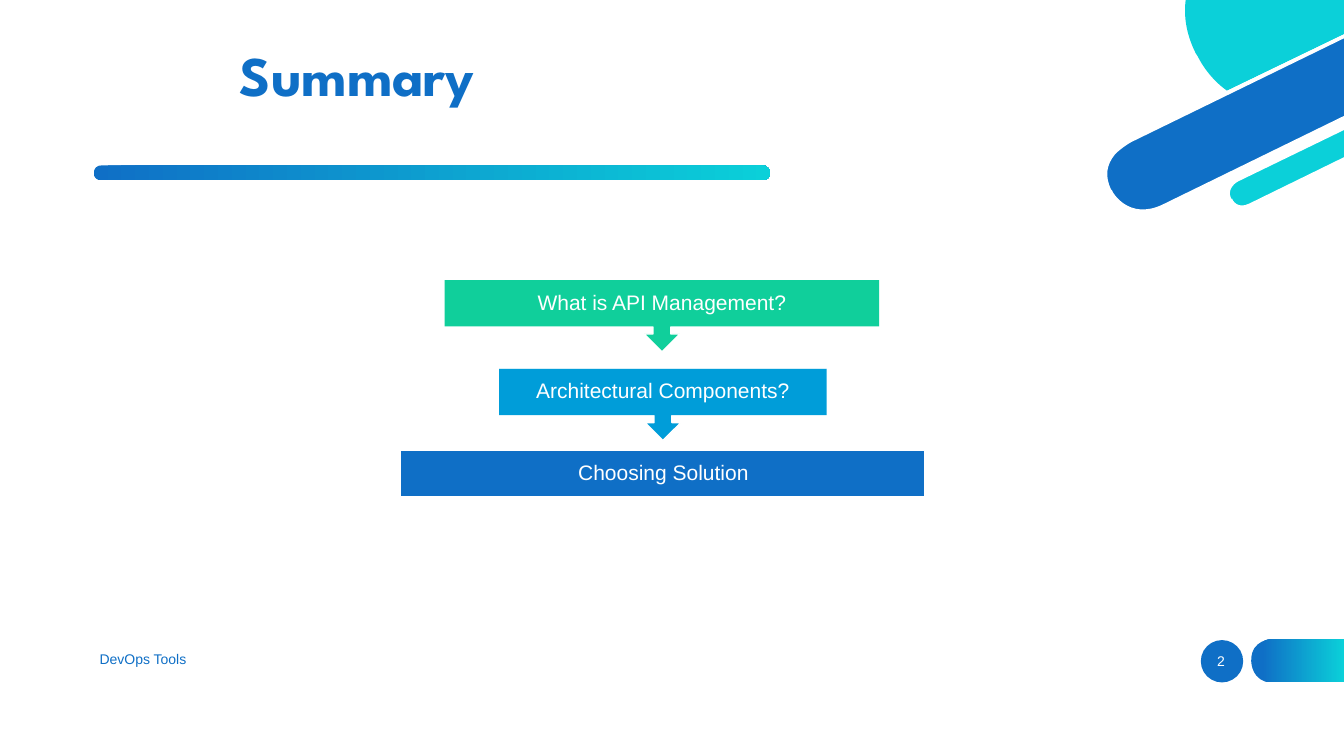
"""Build the Summary slide with its flow of three topics."""
from dataclasses import dataclass
from typing import Optional

from pptx import Presentation
from pptx.dml.color import RGBColor
from pptx.enum.shapes import MSO_SHAPE as SHAPE
from pptx.enum.text import MSO_ANCHOR as ANCHOR, PP_ALIGN as ALIGN
from pptx.oxml.ns import qn
from pptx.oxml.xmlchemy import OxmlElement
from pptx.util import Inches, Pt

BLUE = RGBColor(0x0F, 0x6F, 0xC6)
CYAN = RGBColor(0x0B, 0xD0, 0xD9)
SKY = RGBColor(0x00, 0x9D, 0xD9)
GREEN = RGBColor(0x10, 0xCF, 0x9B)
WHITE = RGBColor(0xFF, 0xFF, 0xFF)


@dataclass(frozen=True)
class Outline:
    """A closed outline; steps of two numbers are lines, of six are curves."""
    start: tuple
    steps: tuple
    color: Optional[RGBColor] = None


@dataclass(frozen=True)
class Topic:
    """A topic box: its frame, its text area and the arrow below it."""
    text: str
    frame: tuple
    label: tuple
    color: RGBColor
    arrow: bool = True


@dataclass(frozen=True)
class Caption:
    """A line of text in a box of its own."""
    text: str
    box: tuple
    size: int
    color: RGBColor
    font: str = "Arial"
    bold: bool = False
    align: ALIGN = ALIGN.LEFT
    inset: float = 0.1


PAGE_TAB = Outline((12.62, 6.77), (
    (13.33, 6.77), (13.33, 6.34), (12.62, 6.34),
    (12.62, 6.34, 12.41, 6.34, 12.41, 6.55), (12.41, 6.56),
    (12.41, 6.56, 12.41, 6.77, 12.62, 6.77)))

TITLE_BAR = Outline((7.56, 1.79), (
    (1.01, 1.79), (0.96, 1.79, 0.93, 1.76, 0.93, 1.72),
    (0.93, 1.67, 0.96, 1.64, 1.01, 1.64), (7.56, 1.64),
    (7.6, 1.64, 7.64, 1.67, 7.64, 1.72), (7.64, 1.76, 7.6, 1.79, 7.56, 1.79)))

CORNER = (
    Outline((13.33, 0.81), (
        (13.06, 0.94), (12.74, 1.1, 12.44, 1.08, 12.19, 0.89),
        (11.99, 0.74, 11.89, 0.55, 11.89, 0.55), (11.88, 0.52),
        (11.79, 0.34, 11.75, 0.16, 11.78, 0), (11.74, 0),
        (11.71, 0.17, 11.75, 0.35, 11.84, 0.54), (11.86, 0.57),
        (11.86, 0.58, 11.96, 0.77, 12.16, 0.92),
        (12.28, 1.01, 12.44, 1.09, 12.65, 1.09),
        (12.77, 1.09, 12.91, 1.06, 13.08, 0.98), (13.33, 0.86)), WHITE),
    Outline((11.21, 1.39), (
        (11.21, 1.39, 10.85, 1.57, 11.01, 1.89), (11.01, 1.9),
        (11.01, 1.9, 11.17, 2.22, 11.54, 2.04),
        (13.33, 1.17), (13.33, 0.36)), BLUE),
    Outline((11.88, 0.56), (
        (11.88, 0.56, 11.97, 0.76, 12.17, 0.9), (13.33, 0.34), (13.33, 0),
        (11.76, 0), (11.74, 0.15, 11.76, 0.33, 11.86, 0.53)), CYAN),
    Outline((13.33, 1.26), (
        (12.27, 1.78), (12.27, 1.78, 12.13, 1.85, 12.2, 1.97), (12.2, 1.98),
        (12.2, 1.98, 12.26, 2.11, 12.4, 2.04), (13.33, 1.58)), CYAN),
    Outline((12.39, 2.02), (
        (12.27, 2.08, 12.22, 1.98, 12.22, 1.97), (12.21, 1.97),
        (12.16, 1.86, 12.28, 1.8, 12.28, 1.8), (13.33, 1.29), (13.33, 1.24),
        (12.26, 1.76), (12.26, 1.76, 12.19, 1.8, 12.17, 1.87),
        (12.15, 1.91, 12.16, 1.95, 12.18, 1.99),
        (12.2, 2.03, 12.25, 2.08, 12.32, 2.08),
        (12.35, 2.08, 12.38, 2.08, 12.41, 2.06),
        (13.33, 1.61), (13.33, 1.56)), WHITE),
    Outline((11.53, 2.03), (
        (11.19, 2.19, 11.03, 1.9, 11.03, 1.89), (11.02, 1.88),
        (10.96, 1.75, 10.97, 1.64, 11.06, 1.53),
        (11.13, 1.46, 11.22, 1.41, 11.22, 1.41), (13.33, 0.38), (13.33, 0.34),
        (11.2, 1.37), (11.19, 1.38, 11.02, 1.46, 10.96, 1.63),
        (10.93, 1.71, 10.94, 1.8, 10.99, 1.9), (10.99, 1.91),
        (10.99, 1.91, 11.1, 2.12, 11.33, 2.12),
        (11.39, 2.12, 11.46, 2.1, 11.54, 2.06),
        (13.33, 1.19), (13.33, 1.15)), WHITE),
)

TOPICS = (
    Topic("Choosing Solution", (3.97, 4.47, 5.2, 0.46),
          (4.08, 4.57, 5, 0.25), BLUE, arrow=False),
    Topic("Architectural Components?", (4.95, 3.66, 3.25, 0.71),
          (4.95, 3.66, 3.25, 0.46), SKY),
    Topic("What is API Management?", (4.41, 2.78, 4.31, 0.71),
          (4.41, 2.78, 4.31, 0.46), GREEN),
)

CAPTIONS = (
    Caption("DevOps Tools", (0.89, 6.34, 4.5, 0.4), 10, BLUE),
    Caption("2", (11.81, 6.36, 0.6, 0.4), 10, WHITE, align=ALIGN.CENTER),
    Caption("Summary", (2.18, 0.37, 5.07, 0.74), 40, BLUE,
            "League Spartan", bold=True, inset=0.2),
)


def paint(sp, color: Optional[RGBColor], edge: Optional[RGBColor] = None) -> None:
    """Fill a shape with a colour, or with the blue to cyan blend if None."""
    sp.shadow.inherit = False
    if color is None:
        sp.fill.gradient()
        sp.fill.gradient_angle = 0
        for stop, stop_color in zip(sp.fill.gradient_stops, (BLUE, CYAN)):
            stop.color.rgb = stop_color
    else:
        sp.fill.solid()
        sp.fill.fore_color.rgb = color
    if edge is None:
        sp.line.fill.background()
    else:
        sp.line.color.rgb = edge
        sp.line.width = Pt(1)


def add_box(shapes, kind: SHAPE, box: tuple, color: RGBColor,
            edge: Optional[RGBColor] = None):
    """Add a painted preset shape."""
    sp = shapes.add_shape(kind, *map(Inches, box))
    paint(sp, color, edge)
    return sp


def add_outline(shapes, outline: Outline):
    """Add a freeform and bend each run of three control points to a curve."""
    points = [(Inches(x), Inches(y)) for step in outline.steps
              for x, y in zip(step[::2], step[1::2])]
    builder = shapes.build_freeform(*map(Inches, outline.start))
    builder.add_line_segments(points, close=True)
    sp = builder.convert_to_shape()
    lines = iter(list(sp.element.iter(qn("a:lnTo"))))
    for step in outline.steps:
        group = [next(lines) for _ in step[::2]]
        if len(group) == 3:
            curve = OxmlElement("a:cubicBezTo")
            group[0].addprevious(curve)
            for line in group:
                curve.append(line[0])
                line.getparent().remove(line)
    paint(sp, outline.color)
    return sp


def write(sp, text: str, size: int, color: RGBColor, align: ALIGN,
          font: str = "Arial", bold: bool = False):
    """Put one line of text in a shape and return its paragraph."""
    tf = sp.text_frame
    tf.word_wrap = True
    tf.vertical_anchor = ANCHOR.MIDDLE
    p = tf.paragraphs[0]
    p.text = text
    p.alignment = align
    p.font.name, p.font.size, p.font.bold = font, Pt(size), bold
    p.font.color.rgb = color
    return p


def add_topic(s, topic: Topic) -> None:
    """Add a group of a topic frame and its label."""
    shapes = s.shapes.add_group_shape().shapes
    kind = SHAPE.UP_ARROW_CALLOUT if topic.arrow else SHAPE.RECTANGLE
    frame = add_box(shapes, kind, topic.frame, topic.color, WHITE)
    frame.rotation = 180 if topic.arrow else 0
    label = add_box(shapes, SHAPE.RECTANGLE, topic.label, topic.color)
    tf = label.text_frame
    tf.margin_left = tf.margin_right = Inches(0.12)
    tf.margin_top = tf.margin_bottom = Inches(0.12)
    p = write(label, topic.text, 15, WHITE, ALIGN.CENTER)
    p.line_spacing = 0.9


def add_caption(s, caption: Caption) -> None:
    """Add a text box with one line."""
    sp = s.shapes.add_textbox(*map(Inches, caption.box))
    sp.text_frame.margin_left = Inches(caption.inset)
    write(sp, caption.text, caption.size, caption.color, caption.align,
          caption.font, caption.bold)


def main() -> None:
    """Build and save the slide."""
    prs = Presentation()
    prs.slide_width, prs.slide_height = Inches(13.33), Inches(7.5)
    s = prs.slides.add_slide(prs.slide_layouts[6])
    add_box(s.shapes, SHAPE.OVAL, (11.91, 6.35, 0.42, 0.42), BLUE)
    tab = add_outline(s.shapes, PAGE_TAB)
    tab.fill.gradient_stops[0].position = 0.12
    corner = s.shapes.add_group_shape()
    for outline in CORNER:
        add_outline(corner.shapes, outline)
    add_outline(s.shapes, TITLE_BAR)
    for topic in TOPICS:
        add_topic(s, topic)
    for caption in CAPTIONS:
        add_caption(s, caption)
    prs.save("out.pptx")


if __name__ == "__main__":
    main()
